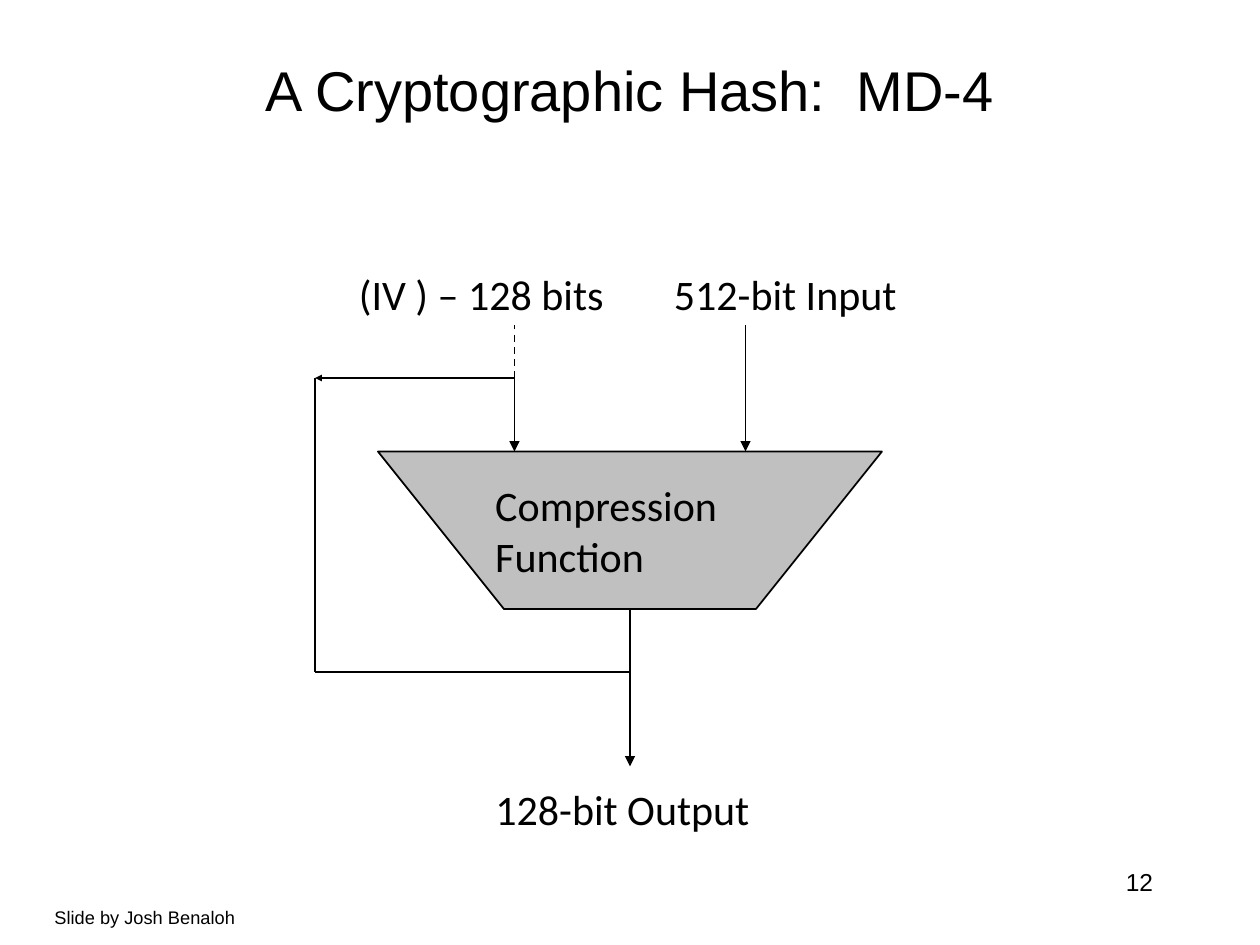
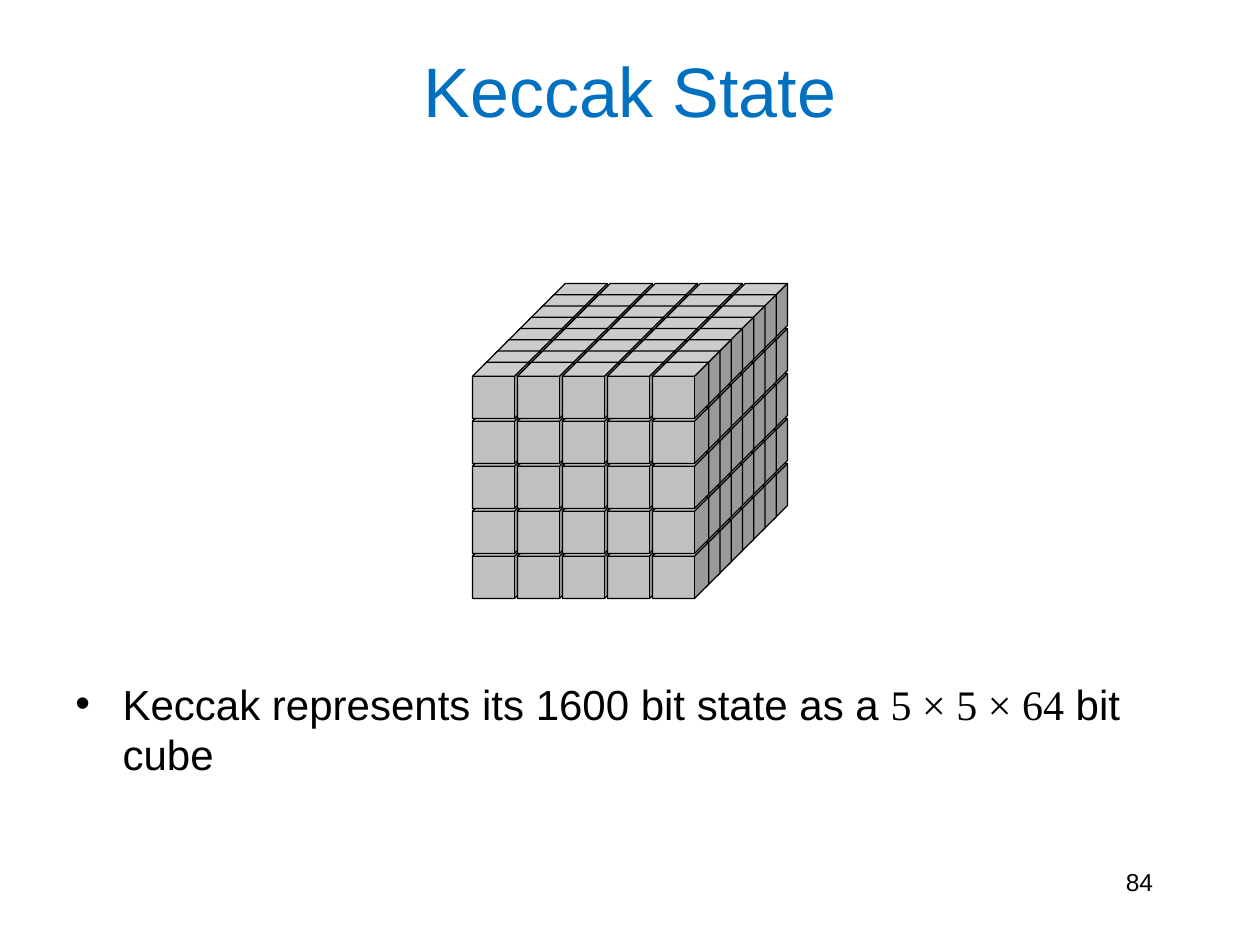
"""Build two slides on hash functions: the MD-4 scheme and the Keccak state."""
from itertools import product

from pptx import Presentation
from pptx import util as u
from pptx.dml.color import RGBColor
from pptx.enum import dml, shapes, text
from pptx.oxml.ns import qn
from lxml import etree

COLORS = {"ink": "000000", "gray": "C0C0C0", "blue": "0070C0"}
SANS, LABEL, MATH = "Arial", "Calibri", "Times New Roman"
ALIGN, ANCHOR = text.PP_ALIGN, text.MSO_ANCHOR


def color(name):
    """Look up a named colour."""
    return RGBColor.from_string(COLORS[name])


def style_runs(paragraph, size, font=SANS, ink="ink"):
    """Format all runs of a paragraph alike."""
    for run in paragraph.runs:
        run.font.size = u.Pt(size)
        run.font.name = font
        run.font.color.rgb = color(ink)


def add_text(slide, box, content, size, font=SANS, ink="ink", align=ALIGN.LEFT,
             anchor=ANCHOR.TOP, wrap=True):
    """Add a one-paragraph text box and return its paragraph."""
    frame = slide.shapes.add_textbox(*map(u.Pt, box)).text_frame
    frame.word_wrap = wrap
    frame.vertical_anchor = anchor
    frame.text = content
    paragraph = frame.paragraphs[0]
    paragraph.alignment = align
    style_runs(paragraph, size, font, ink)
    return paragraph


def add_slide(presentation, title, number, size, ink):
    """Add a blank slide with its title and slide number."""
    slide = presentation.slides.add_slide(presentation.slide_layouts[6])
    add_text(slide, (54, 18, 612, 66), title, size, ink=ink,
             align=ALIGN.CENTER, anchor=ANCHOR.MIDDLE)
    add_text(slide, (516, 492, 150, 36), number, 14, align=ALIGN.RIGHT)
    return slide


def paint(shape, width):
    """Give a shape the gray fill and a dark outline."""
    shape.shadow.inherit = False
    shape.fill.solid()
    shape.fill.fore_color.rgb = color("gray")
    shape.line.color.rgb = color("ink")
    shape.line.width = u.Pt(width)


def add_line(slide, start, end, arrow=None, dashed=False):
    """Draw a straight line, with an arrowhead of the given size if any."""
    line = slide.shapes.add_connector(
        shapes.MSO_CONNECTOR.STRAIGHT, *map(u.Pt, (*start, *end)))
    line.line.color.rgb = color("ink")
    line.line.width = u.Pt(1)
    if dashed:
        line.line.dash_style = dml.MSO_LINE.DASH
    if arrow:
        etree.SubElement(line.line._get_or_add_ln(), qn("a:tailEnd"),
                         type="triangle", w=arrow, len=arrow)
    etree.SubElement(line._element.spPr, qn("a:effectLst"))


def add_compression(slide):
    """Draw the trapezoid of the compression function."""
    builder = slide.shapes.build_freeform(216, 258, scale=u.Pt(1))
    builder.add_line_segments([(288, 348), (432, 348), (504, 258)], close=True)
    trapezoid = builder.convert_to_shape()
    paint(trapezoid, 1)
    frame = trapezoid.text_frame
    frame.text = "Compression\nFunction"
    frame.margin_left = u.Pt(67)
    frame.vertical_anchor = ANCHOR.MIDDLE
    for paragraph in frame.paragraphs:
        paragraph.alignment = ALIGN.LEFT
        style_runs(paragraph, 24, LABEL)


def add_cube_stack(slide, left, top, count=5, layers=8):
    """Stack the visible cubes from the back layer to the front one."""
    side, pitch, shift = 32.14, 25.71, 6.43
    for depth, row, column in product(
            reversed(range(layers)), reversed(range(count)), range(count)):
        if depth and row and column < count - 1:
            continue
        cube = slide.shapes.add_shape(
            shapes.MSO_SHAPE.CUBE,
            u.Pt(left + column * pitch + depth * shift),
            u.Pt(top + row * pitch - depth * shift), u.Pt(side), u.Pt(side))
        cube.adjustments[0] = 0.25
        paint(cube, 0.75)


def add_bullet(slide, box, parts, size):
    """Add a bulleted paragraph made of (text, font) parts."""
    paragraph = add_text(slide, box, "", size)
    properties = paragraph._p.get_or_add_pPr()
    properties.set("marL", str(u.Pt(27)))
    properties.set("indent", str(u.Pt(-27)))
    etree.SubElement(properties, qn("a:buFont"), typeface=SANS)
    etree.SubElement(properties, qn("a:buChar"), char="•")
    for content, font in parts:
        run = paragraph.add_run()
        run.text = content
        run.font.name = font
        run.font.size = u.Pt(size)
        run.font.color.rgb = color("ink")


def build_md4(presentation):
    """Build the slide of the MD-4 scheme."""
    slide = add_slide(presentation, "A Cryptographic Hash:  MD-4", "12", 32, "ink")
    add_compression(slide)
    for left, top, width, label in ((198, 150, 156, "(IV ) – 128 bits"),
                                    (378, 150, 148, "512-bit Input"),
                                    (276, 444, 161, "128-bit Output")):
        add_text(slide, (left, top, width, 36), label, 24, LABEL, wrap=False)
    junction, corner, bend = (294, 216), (180, 216), (180, 384)
    add_line(slide, (360, 348), (360, 438), "med")
    add_line(slide, (426, 186), (426, 258), "med")
    add_line(slide, junction, (294, 258), "med")
    add_line(slide, junction, (294, 186), dashed=True)
    add_line(slide, junction, corner, "sm")
    add_line(slide, corner, bend)
    add_line(slide, bend, (360, 384))
    credit = add_text(slide, (24, 502.5, 202, 22), "Slide by Josh Benaloh", 18)
    credit.runs[0]._r.get_or_add_rPr().set("baseline", "-25000")


def build_keccak(presentation):
    """Build the slide of the Keccak state."""
    slide = add_slide(presentation, "Keccak State", "84", 40, "blue")
    add_bullet(slide, (36, 384, 648, 90),
               (("Keccak represents its 1600 bit state as a ", SANS),
                ("5 × 5 × 64", MATH), (" bit cube", SANS)), 24)
    add_cube_stack(slide, 270, 207)


def main():
    """Create and save the presentation."""
    presentation = Presentation()
    presentation.slide_width, presentation.slide_height = u.Pt(720), u.Pt(540)
    build_md4(presentation)
    build_keccak(presentation)
    presentation.save("out.pptx")


if __name__ == "__main__":
    main()
